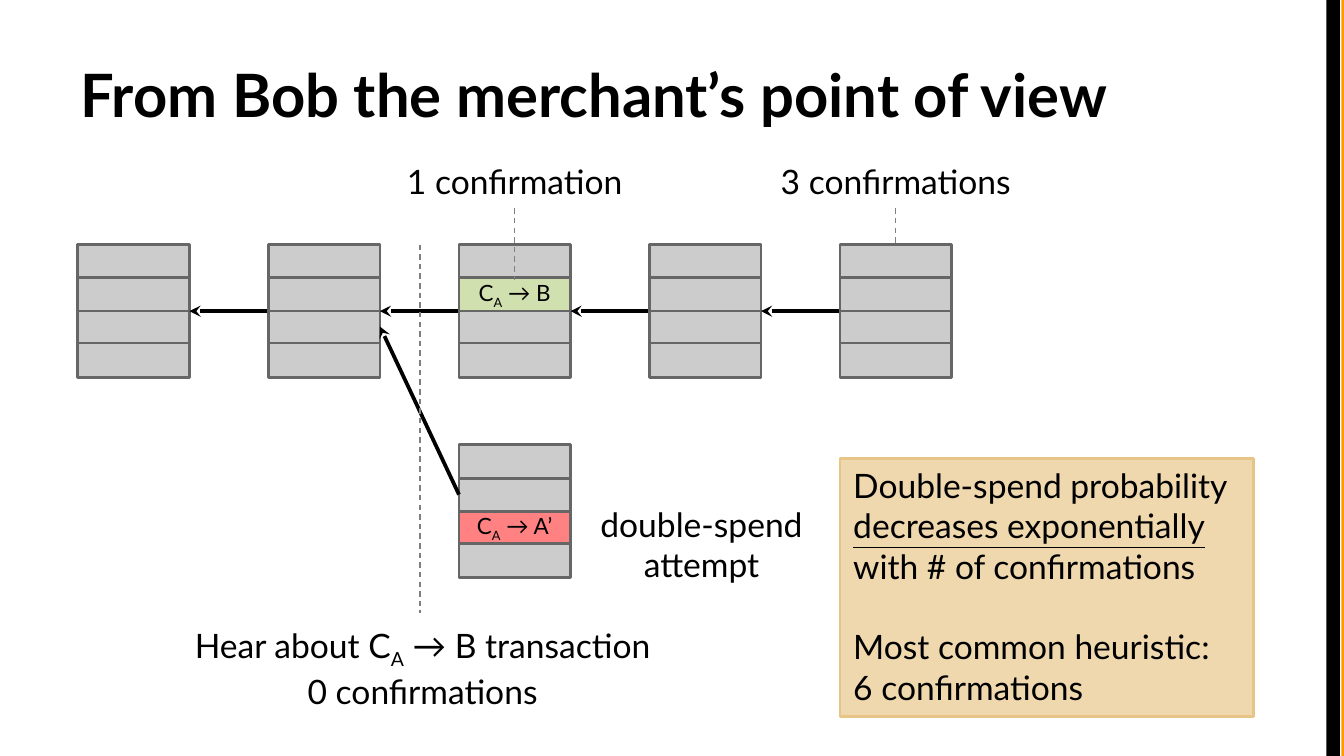
from itertools import accumulate

from lxml.etree import SubElement
from pptx import Presentation
from pptx.dml.color import RGBColor
from pptx.enum.dml import MSO_LINE_DASH_STYLE as Dash
from pptx.enum.shapes import MSO_CONNECTOR as Conn, MSO_SHAPE as Shape
from pptx.enum.text import MSO_ANCHOR as Anchor, PP_ALIGN as Align
from pptx.oxml.ns import qn
from pptx.util import Inches, Pt

BLACK = RGBColor(0x00, 0x00, 0x00)
ORANGE = RGBColor(0xFF, 0x99, 0x00)
GREY = RGBColor(0xCC, 0xCC, 0xCC)
BORDER = RGBColor(0x66, 0x66, 0x66)
GUIDE = RGBColor(0x7F, 0x7F, 0x7F)
GREEN = RGBColor(0xD1, 0xE0, 0xAF)
RED = RGBColor(0xFF, 0x81, 0x81)
SAND = RGBColor(0xEF, 0xD7, 0xAE)
SAND_EDGE = RGBColor(0xE7, 0xC5, 0x86)

FONT = "Lato"
W = 10
H = W * 9 / 16
BLOCK_W, BLOCK_H = 0.83, 0.99
ROW_SHARES = (0.25, 0.25, 0.24, 0.26)
CHAIN_LEFT, CHAIN_TOP = 0.58, 1.82
NOTE_LEFT = 6.25
COLUMNS = 5
PITCH = (NOTE_LEFT - CHAIN_LEFT) / (COLUMNS - 1)
FORK_TOP = 3.31


def subscript(r):
    r._r.get_or_add_rPr().set("baseline", "-25000")


def underline(r):
    r.font.underline = True


def write(tf, lines, size=18, align=Align.CENTER, anchor=Anchor.TOP,
          mark=subscript, bold=False, gap=0, inset=0.05):
    tf.word_wrap = True
    tf.vertical_anchor = anchor
    tf.margin_left = tf.margin_right = Inches(0.1)
    tf.margin_top = tf.margin_bottom = Inches(inset)
    for i, line in enumerate(lines):
        p = tf.add_paragraph() if i else tf.paragraphs[0]
        first, *rest = line.split("~")
        p.text = first
        p.alignment = align
        p.space_before = Pt(gap if i else 0)
        for j, part in enumerate(rest):
            r = p.add_run()
            r.text = part
            if j % 2 == 0:
                mark(r)
        for r in p.runs:
            r.font.name = FONT
            r.font.size = Pt(size)
            r.font.bold = bold
            r.font.color.rgb = BLACK


def rect(shapes, box, fill, edge=None):
    sp = shapes.add_shape(Shape.RECTANGLE, *map(Inches, box))
    sp.shadow.inherit = False
    sp.fill.solid()
    sp.fill.fore_color.rgb = fill
    if edge is None:
        sp.line.fill.background()
    else:
        sp.line.color.rgb = edge
        sp.line.width = Pt(1.5)
    return sp


def label(s, box, lines, **style):
    write(s.shapes.add_textbox(*map(Inches, box)).text_frame, lines, **style)


def line(s, start, end, color, width):
    c = s.shapes.add_connector(Conn.STRAIGHT, *map(Inches, (*start, *end)))
    c.line.color.rgb = color
    c.line.width = Pt(width)
    SubElement(c._element.spPr, qn("a:effectLst"))
    return c


def arrow(s, start, end):
    c = line(s, start, end, BLACK, 2)
    SubElement(c.line._get_or_add_ln(), qn("a:tailEnd"), type="stealth")


def guide(s, start, end):
    line(s, start, end, GUIDE, 0.75).line.dash_style = Dash.DASH


def block(s, box, marked=None, fill=GREY, text=""):
    left, top, width, height = box
    group = s.shapes.add_group_shape()
    offsets = accumulate(ROW_SHARES, initial=0)
    for i, (offset, share) in enumerate(zip(offsets, ROW_SHARES)):
        row = (left, top + offset * height, width, share * height)
        sp = rect(group.shapes, row, fill if i == marked else GREY, BORDER)
        if i == marked:
            write(sp.text_frame, [text], size=12, anchor=Anchor.MIDDLE, inset=0.1)


def page_edge(s, box):
    left, top, width, height = box
    rect(s.shapes, (left + 0.11, top, width - 0.11, height), ORANGE)
    rect(s.shapes, (left, top, 0.1, height), BLACK)


def chain(s, box):
    left, top, width, height = box
    mid = top + height / 2
    for i in range(COLUMNS):
        x = left + i * PITCH
        cell = (x, top, BLOCK_W, height)
        if i == 2:
            block(s, cell, 1, GREEN, "C~A~ → B")
        else:
            block(s, cell)
        if i:
            arrow(s, (x - 0.01, mid), (x - PITCH + BLOCK_W, mid))


def fork(s, box):
    left, top, width, height = box
    block(s, box, 2, RED, "C~A~ → A’")
    parent_right = left - PITCH + BLOCK_W
    arrow(s, (left, top + 0.37), (parent_right, CHAIN_TOP + 0.61))
    label(s, (left + width + 0.11, top + 0.39, 1.73, 0.71), ["double-spend\vattempt"])


def confirmations(s, box):
    left, top, width, height = box
    first = left + 2 * PITCH + BLOCK_W / 2
    third = left + 4 * PITCH + BLOCK_W / 2
    for text, x, end, span in (("1 confirmation", first, 2.08, 1.86),
                               ("3 confirmations", third, CHAIN_TOP, 1.96)):
        label(s, (x - span / 2, top, span, height), [text])
        guide(s, (x, top + height), (x, end))


def announcement(s, box):
    left, top, width, height = box
    x = left + width / 2 - 0.02
    guide(s, (x, CHAIN_TOP), (x, top - 0.04))
    label(s, box, ["Hear about C~A~ → B transaction", "0 confirmations"])


def note(s, box):
    sp = rect(s.shapes, box, SAND, SAND_EDGE)
    write(sp.text_frame,
          ["Double-spend probability ~decreases exponentially~ with # of confirmations",
           "Most common heuristic: \v6 confirmations"],
          align=Align.LEFT, mark=underline, gap=21.6)


def main():
    prs = Presentation()
    prs.slide_width, prs.slide_height = Inches(W), Inches(H)
    s = prs.slides.add_slide(prs.slide_layouts[6])
    page_edge(s, (9.87, 0, W - 9.87, H))
    label(s, (0.5, 0.23, 9, 0.94), ["From Bob the merchant’s point of view"],
          size=32, bold=True, align=Align.LEFT, anchor=Anchor.MIDDLE, inset=0.1)
    chain(s, (CHAIN_LEFT, CHAIN_TOP, 4 * PITCH + BLOCK_W, BLOCK_H))
    fork(s, (CHAIN_LEFT + 2 * PITCH, FORK_TOP, BLOCK_W, BLOCK_H))
    announcement(s, (1.31, 4.6, 3.67, 0.71))
    confirmations(s, (CHAIN_LEFT, 1.15, 4 * PITCH + BLOCK_W, 0.4))
    note(s, (NOTE_LEFT, 3.41, 3.08, 1.92))
    prs.save("out.pptx")


if __name__ == "__main__":
    main()
